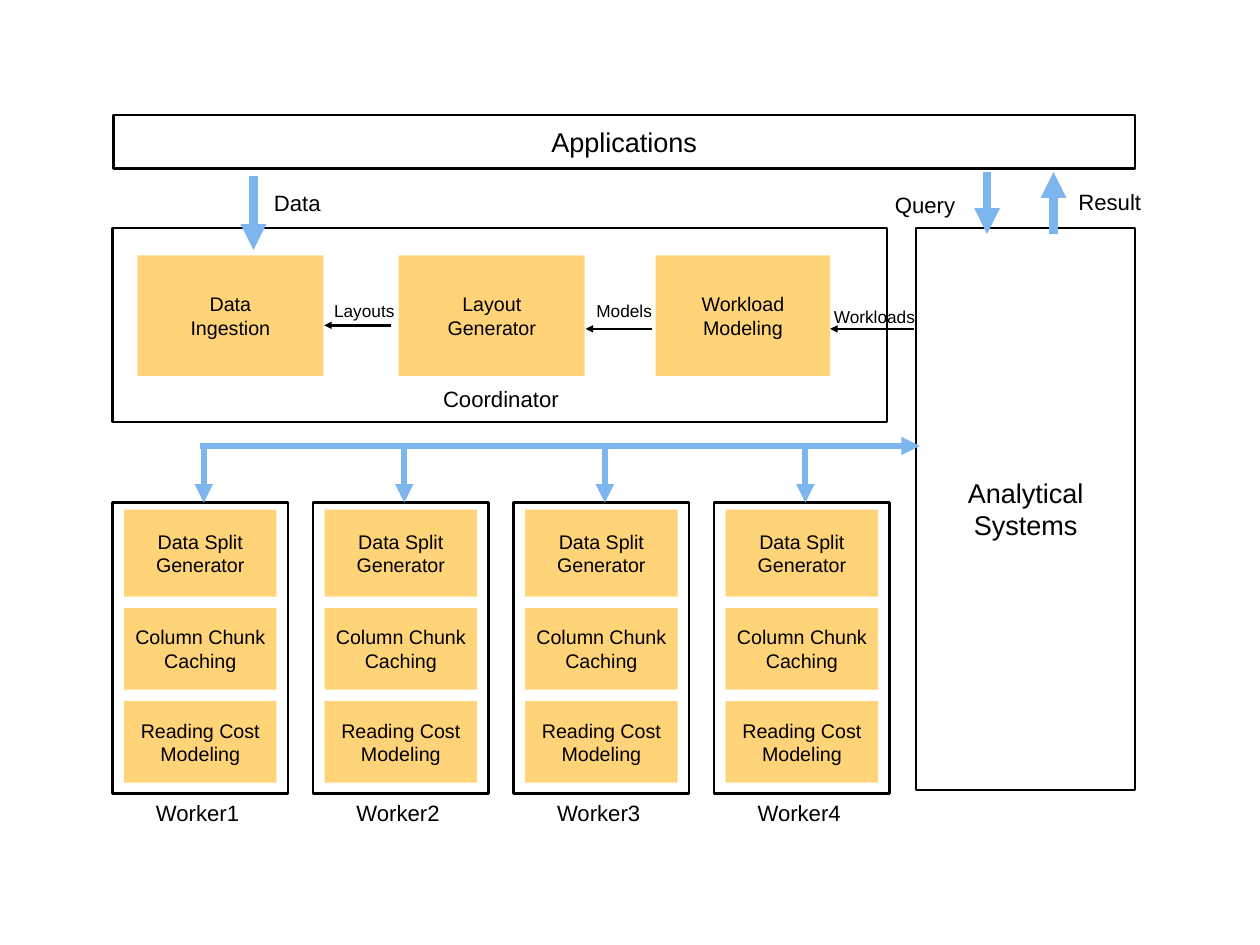
from lxml.etree import SubElement
from pptx import Presentation
from pptx.dml.color import RGBColor
from pptx.enum.shapes import MSO_CONNECTOR as Connector, MSO_SHAPE as Shape
from pptx.enum.text import MSO_ANCHOR as Anchor, MSO_AUTO_SIZE as AutoSize, PP_ALIGN as Align
from pptx.oxml.ns import qn
from pptx.util import Inches, Pt

COLORS = {"ink": "000000", "paper": "FFFFFF", "module": "FFD479", "flow": "7DB6EF"}
FONT = "Arial"
COLUMNS, ROWS = 14.22, 10.66
LEFT, RIGHT = 1.27, 12.81

APPLICATIONS = ["Applications"]
ANALYTICAL_SYSTEMS = ["Analytical", "Systems"]
COORDINATOR_MODULES = [
    (["Data", "Ingestion"], 1.55, 2.1),
    (["Layout", "Generator"], 4.5, 2.1),
    (["Workload", "Modeling"], 7.4, 1.97),
]
COORDINATOR_STEPS = [
    ("Layouts", 3.7, 3.32, 0.86, 4.41, 3.66, 3.67),
    ("Models", 6.66, 3.32, 0.8, 7.36, 6.61, 3.71),
    ("Workloads", 9.34, 3.38, 1.1, 10.31, 9.37, 3.71),
]
APPLICATION_FLOWS = [
    ("Data", 3.02, 2.07, 0.72, 2.86, 1.98, 2.82),
    ("Query", 10.03, 2.09, 0.9, 11.14, 1.94, 2.64),
    ("Result", 12.1, 2.06, 0.9, 11.89, 2.64, 1.94),
]
WORKERS = ["Worker1", "Worker2", "Worker3", "Worker4"]
WORKER_MODULES = [
    (["Data Split", "Generator"], 0.98),
    (["Column Chunk", "Caching"], 0.92),
    (["Reading Cost", "Modeling"], 0.92),
]

COORDINATOR_TOP, COORDINATOR_WIDTH = 2.57, 8.74
WORKER_TOP, WORKER_WIDTH, WORKER_HEIGHT = 5.67, 1.98, 3.28
WORKER_PITCH = (COORDINATOR_WIDTH + 0.03 - WORKER_WIDTH) / (len(WORKERS) - 1)
WORKER_PAD, MODULE_GAP = 0.13, 0.13
BUS_ROW = 5.03


def color(name):
    return RGBColor.from_string(COLORS[name])


def write(frame, lines, size, align, anchor):
    frame.margin_left = frame.margin_right = Inches(0.07)
    frame.margin_top = frame.margin_bottom = Inches(0.07)
    frame.vertical_anchor = anchor
    for index, line in enumerate(lines):
        paragraph = frame.add_paragraph() if index else frame.paragraphs[0]
        paragraph.alignment = align
        run = paragraph.add_run()
        run.text = line
        run.font.name = FONT
        run.font.size = Pt(size)
        run.font.color.rgb = color("ink")


def add_box(shapes, left, top, width, height, fill, lines=(), size=16):
    box = shapes.add_shape(Shape.RECTANGLE, *map(Inches, (left, top, width, height)))
    box.shadow.inherit = False
    box.fill.solid()
    box.fill.fore_color.rgb = color(fill)
    if fill == "module":
        box.line.fill.background()
    else:
        box.line.color.rgb = color("ink")
        box.line.width = Pt(2)
    write(box.text_frame, lines, size, Align.CENTER, Anchor.MIDDLE)


def add_label(shapes, text, left, top, width, height=0.44, size=18, wrap=False):
    label = shapes.add_textbox(*map(Inches, (left, top, width, height))).text_frame
    label.word_wrap = wrap
    if not wrap:
        label.auto_size = AutoSize.SHAPE_TO_FIT_TEXT
    write(label, [text], size, Align.LEFT, Anchor.TOP)


def add_arrow(shapes, start, tip, weight, tint="flow"):
    arrow = shapes.add_connector(Connector.STRAIGHT, *map(Inches, (*start, *tip)))
    arrow.line.color.rgb = color(tint)
    arrow.line.width = Pt(weight)
    SubElement(arrow.line._get_or_add_ln(), qn("a:tailEnd"), type="triangle")
    SubElement(arrow._element.spPr, qn("a:effectLst"))


def add_worker(shapes, name, left):
    worker = shapes.add_group_shape().shapes
    add_box(worker, left, WORKER_TOP, WORKER_WIDTH, WORKER_HEIGHT, "paper")
    top = WORKER_TOP + 0.08
    for lines, height in WORKER_MODULES:
        add_box(worker, left + WORKER_PAD, top, WORKER_WIDTH - 2 * WORKER_PAD, height, "module", lines)
        top += height + MODULE_GAP
    middle = left + 1.03
    add_arrow(worker, (middle, BUS_ROW + 0.03), (middle, WORKER_TOP), 5)
    add_label(worker, name, left + 0.42, WORKER_TOP + WORKER_HEIGHT, 1.13, 0.42, wrap=True)


def main():
    deck = Presentation()
    deck.slide_width, deck.slide_height = Inches(COLUMNS), Inches(ROWS)
    shapes = deck.slides.add_slide(deck.slide_layouts[6]).shapes

    add_box(shapes, LEFT, COORDINATOR_TOP, COORDINATOR_WIDTH, 2.19, "paper")
    for lines, left, width in COORDINATOR_MODULES:
        add_box(shapes, left, 2.88, width, 1.36, "module", lines)
    add_box(shapes, 10.34, COORDINATOR_TOP, RIGHT - 10.34, 6.34, "paper", ANALYTICAL_SYSTEMS, 22)
    add_box(shapes, LEFT + 0.01, 1.3, RIGHT - LEFT - 0.01, 0.6, "paper", APPLICATIONS, 22)

    for text, left, top, width, start, tip, row in COORDINATOR_STEPS:
        add_arrow(shapes, (start, row), (tip, row), 2, "ink")
        add_label(shapes, text, left, top, width, 0.38, 14)
    add_label(shapes, "Coordinator", 4.93, 4.28, 1.5)

    for text, left, top, width, column, start, tip in APPLICATION_FLOWS:
        add_arrow(shapes, (column, start), (column, tip), 7)
        add_label(shapes, text, left, top, width)

    add_arrow(shapes, (2.26, BUS_ROW), (10.38, BUS_ROW), 5)
    for index, name in enumerate(WORKERS):
        add_worker(shapes, name, LEFT + index * WORKER_PITCH)

    deck.save("out.pptx")


if __name__ == "__main__":
    main()
